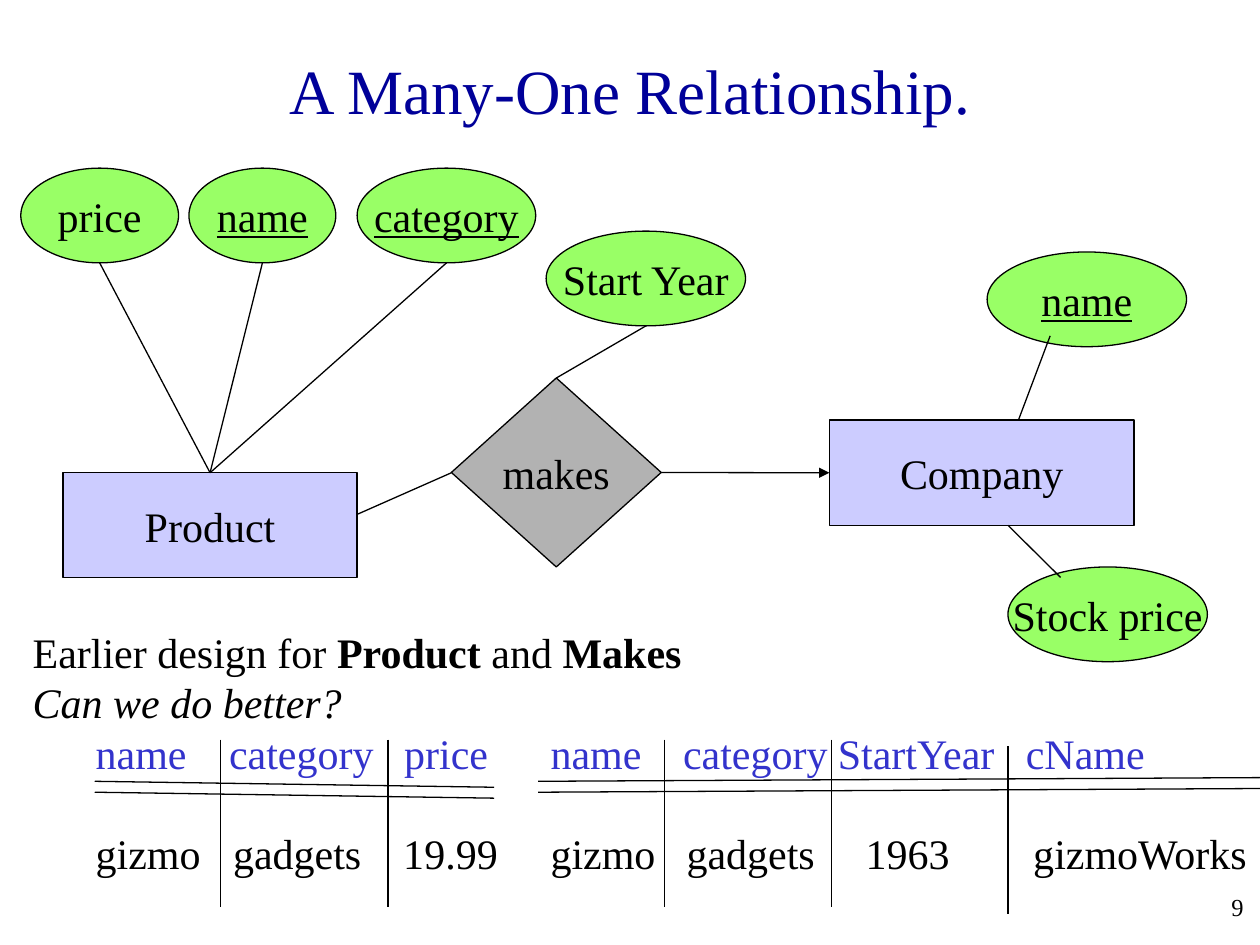
from dataclasses import dataclass

from lxml import etree
from pptx import Presentation
from pptx import util as u
from pptx.dml.color import RGBColor
from pptx.enum import shapes, text
from pptx.oxml.ns import qn

Cm, Pt = u.Cm, u.Pt
SHAPE, ALIGN, ANCHOR = shapes.MSO_SHAPE, text.PP_ALIGN, text.MSO_ANCHOR
TOP, LEFT, RIGHT = 0, 1, 3
ATTRIBUTE_HEIGHT = 1.91


@dataclass(frozen=True)
class Theme:
    font: str = "Times New Roman"
    ink: str = "000000"
    title: str = "000099"
    heading: str = "3333CC"
    attribute: str = "99FF66"
    entity: str = "CCCCFF"
    relationship: str = "B2B2B2"
    title_size: int = 36
    text_size: int = 24
    number_size: int = 14
    line_width: float = 0.75
    line_pitch: float = 28.8


THEME = Theme()


def apply_format(target, values):
    for name, value in values.items():
        setattr(target, name, value)


def add_run(paragraph, content, color=THEME.ink, size=THEME.text_size, **styles):
    run = paragraph.add_run()
    run.text = content
    apply_format(run.font, {"name": THEME.font, "size": Pt(size), **styles})
    run.font.color.rgb = RGBColor.from_string(color)


def add_title(slide, content):
    title = slide.shapes.title
    apply_format(title, {"left": Cm(1.9), "top": Cm(0.64),
                         "width": Cm(21.6), "height": Cm(2.33)})
    apply_format(title.text_frame, {"vertical_anchor": ANCHOR.MIDDLE,
                                    "auto_size": text.MSO_AUTO_SIZE.NONE})
    paragraph = title.text_frame.paragraphs[0]
    paragraph.alignment = ALIGN.CENTER
    add_run(paragraph, content, THEME.title, THEME.title_size)


def add_node(slide, kind, fill, box, label, underline=False):
    shape = slide.shapes.add_shape(kind, *map(Cm, box))
    shape.shadow.inherit = False
    shape.fill.solid()
    shape.fill.fore_color.rgb = RGBColor.from_string(fill)
    shape.line.color.rgb = RGBColor.from_string(THEME.ink)
    shape.line.width = Pt(THEME.line_width)
    apply_format(shape.text_frame, {"word_wrap": False,
                                    "vertical_anchor": ANCHOR.MIDDLE})
    paragraph = shape.text_frame.paragraphs[0]
    paragraph.alignment = ALIGN.CENTER
    add_run(paragraph, label, underline=underline)
    return shape


def add_line(slide, start, end, arrow=False):
    line = slide.shapes.add_connector(shapes.MSO_CONNECTOR.STRAIGHT,
                                      *map(Cm, (*start, *end)))
    line.line.color.rgb = RGBColor.from_string(THEME.ink)
    line.line.width = Pt(THEME.line_width)
    properties = line.line._get_or_add_ln()
    if arrow:
        etree.SubElement(properties, qn("a:tailEnd"), type="triangle")
    etree.SubElement(properties.getparent(), qn("a:effectLst"))
    return line


def add_attribute(slide, left, top, width, label, key=False, owner=None):
    """Draw an attribute and, given an owner, a line up from the owner's top."""
    add_node(slide, SHAPE.OVAL, THEME.attribute,
             (left, top, width, ATTRIBUTE_HEIGHT), label, key)
    if owner is not None:
        foot = (left + width / 2, top + ATTRIBUTE_HEIGHT)
        add_line(slide, foot, foot).begin_connect(owner, TOP)


def add_text_box(slide, box, anchor=ANCHOR.TOP):
    frame = slide.shapes.add_textbox(*map(Cm, box)).text_frame
    apply_format(frame, {"word_wrap": True, "vertical_anchor": anchor,
                         "margin_right": 0})
    return frame


def next_paragraph(frame):
    """Return the first paragraph while it is empty, otherwise a new one."""
    first = frame.paragraphs[0]
    paragraph = frame.add_paragraph() if first.runs else first
    paragraph.line_spacing = Pt(THEME.line_pitch)
    return paragraph


def add_row(frame, cells, stops, color, gap=0):
    """Write cells on one line, each starting at its own tab stop."""
    paragraph = next_paragraph(frame)
    paragraph.space_before = Pt(gap)
    tabs = etree.SubElement(paragraph._p.get_or_add_pPr(), qn("a:tabLst"))
    for stop in stops:
        etree.SubElement(tabs, qn("a:tab"), pos=str(Cm(stop)), algn="l")
    add_run(paragraph, "".join("\t" + cell for cell in cells), color)


def add_relation(slide, frame, header, values, rule, dividers):
    """Write a two-row relation with a double rule and column dividers."""
    add_row(frame, *header, THEME.heading)
    add_row(frame, *values, THEME.ink, gap=THEME.line_pitch)
    left, left_y, right, right_y = rule
    for offset in (0, 0.22):
        add_line(slide, (left, left_y + offset), (right, right_y + offset))
    for x, top in dividers:
        add_line(slide, (x, top), (x, top + 3.38))


def add_diagram(slide):
    makes = add_node(slide, SHAPE.DIAMOND, THEME.relationship,
                     (9.1, 7.62, 4.23, 3.81), "makes")
    company = add_node(slide, SHAPE.RECTANGLE, THEME.entity,
                       (16.72, 8.47, 6.14, 2.12), "Company")
    product = add_node(slide, SHAPE.RECTANGLE, THEME.entity,
                       (1.27, 9.53, 5.93, 2.12), "Product")

    for left, width, label, key in ((0.42, 3.18, "price", False),
                                    (3.81, 2.96, "name", True),
                                    (7.2, 3.6, "category", True)):
        add_attribute(slide, left, 3.39, width, label, key, product)
    add_attribute(slide, 11.01, 4.66, 4.02, "Start Year", owner=makes)
    add_attribute(slide, 19.9, 5.08, 4.02, "name", True)
    add_attribute(slide, 20.32, 11.43, 4.02, "Stock price")

    arrow = add_line(slide, (13.33, 9.53), (16.72, 9.53), arrow=True)
    arrow.begin_connect(makes, RIGHT)
    arrow.end_connect(company, LEFT)
    add_line(slide, (9.1, 9.53), (7.2, 10.37))
    add_line(slide, (20.53, 8.47), (21.17, 6.77))
    add_line(slide, (20.32, 10.59), (21.38, 11.64))


def add_relations(slide):
    product = add_text_box(slide, (0.41, 12.5, 13.82, 5.33))
    intro = next_paragraph(product)
    for content, bold in (("Earlier design for ", False), ("Product", True),
                          (" and ", False), ("Makes", True)):
        add_run(intro, content, bold=bold)
    add_run(next_paragraph(product), "Can we do better?", italic=True)
    add_relation(slide, product,
                 (("name", "category", "price"), (1.27, 3.96, 7.49)),
                 (("gizmo", "gadgets", "19.99"), (1.27, 4.04, 7.47)),
                 (1.91, 15.75, 9.96, 15.87), ((4.45, 14.91), (7.82, 14.91)))

    makes = add_text_box(slide, (9.58, 12.5, 15.88, 5.33), ANCHOR.BOTTOM)
    add_relation(slide, makes,
                 (("name", "category", "StartYear", "cName"),
                  (1.27, 3.94, 7.06, 10.85)),
                 (("gizmo", "gadgets", "1963", "gizmoWorks"),
                  (1.27, 4.01, 7.62, 11)),
                 (10.85, 15.75, 26.47, 15.67),
                 ((13.39, 14.91), (16.76, 14.91), (20.32, 15.04)))


def add_slide_number(slide, number):
    frame = add_text_box(slide, (20.04, 17.86, 5.03, 1.27))
    paragraph = frame.paragraphs[0]
    paragraph.alignment = ALIGN.RIGHT
    add_run(paragraph, number, size=THEME.number_size)


def main():
    presentation = Presentation()
    apply_format(presentation, {"slide_width": Cm(25.4),
                                "slide_height": Cm(19.05)})
    slide = presentation.slides.add_slide(presentation.slide_layouts[5])
    add_title(slide, "A Many-One Relationship.")
    add_diagram(slide)
    add_relations(slide)
    add_slide_number(slide, "9")
    presentation.save("out.pptx")


if __name__ == "__main__":
    main()
